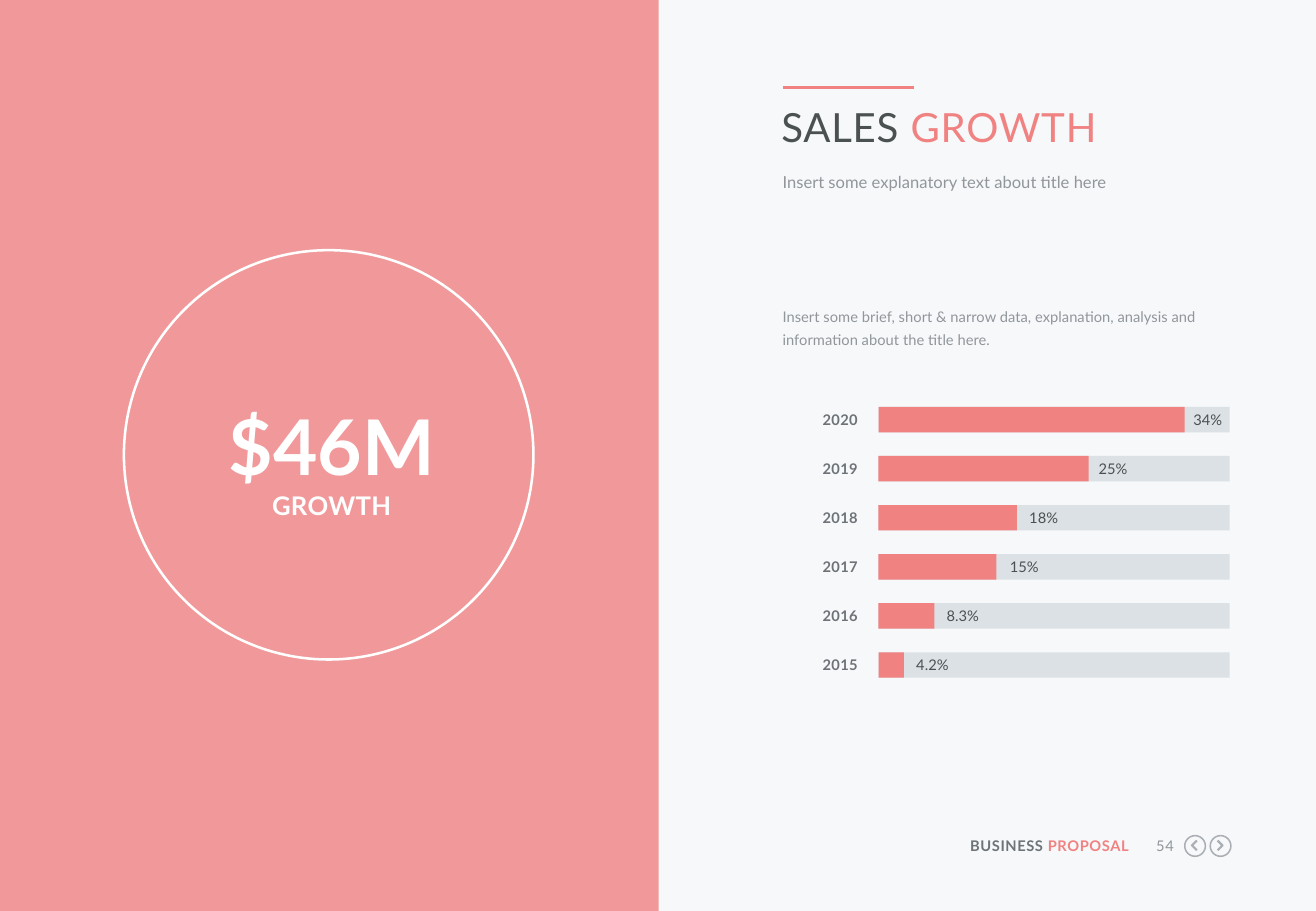
from pptx import Presentation
from pptx.dml.color import RGBColor
from pptx.enum.shapes import MSO_CONNECTOR, MSO_SHAPE
from pptx.enum.text import MSO_AUTO_SIZE, PP_ALIGN
from pptx.oxml.ns import qn
from pptx.util import Inches, Pt
from lxml import etree

RECTANGLE, OVAL = MSO_SHAPE.RECTANGLE, MSO_SHAPE.OVAL
STRAIGHT = MSO_CONNECTOR.STRAIGHT
GROW = MSO_AUTO_SIZE.SHAPE_TO_FIT_TEXT
LEFT, CENTER, RIGHT = PP_ALIGN.LEFT, PP_ALIGN.CENTER, PP_ALIGN.RIGHT

FONT = "Lato"
CORAL, WHITE, PAPER, TRACK = "F08282", "FFFFFF", "F6F8FA", "DCE1E6"
DARK, SLATE, GRAY, ICON = "4B5050", "6E7378", "91969B", "AAAFB4"
SMALL = 8.7

# year, growth, bar length, left edge of the growth label
GROWTH_BY_YEAR = [
    ("2020", "34%", 2.52, 9.82),
    ("2019", "25%", 1.73, 9.04),
    ("2018", "18%", 1.14, 8.47),
    ("2017", "15%", 0.97, 8.31),
    ("2016", "8.3%", 0.46, 7.79),
    ("2015", "4.2%", 0.21, 7.54),
]
BAR_LEFT, BAR_WIDTH, BAR_HEIGHT = 7.23, 2.89, 0.21
BARS_TOP, BARS_BOTTOM = 3.35, 5.37


def color(value):
    return RGBColor.from_string(value)


class SlidePainter:
    """Holds the slide being drawn and its shared text style."""

    def __init__(self, slide, font):
        self.slide = slide
        self.shapes = slide.shapes
        self.font = font

    def background(self, fill):
        self.slide.background.fill.solid()
        self.slide.background.fill.fore_color.rgb = color(fill)

    def finish(self, shape, fill, line, width):
        """Apply fill and outline, leaving out whichever is None."""
        shape.shadow.inherit = False
        if fill:
            shape.fill.solid()
            shape.fill.fore_color.rgb = color(fill)
        else:
            shape.fill.background()
        if line:
            shape.line.color.rgb = color(line)
            shape.line.width = Pt(width)
        else:
            shape.line.fill.background()
        return shape

    def shape(self, kind, left, top, width, height, fill=None, line=None, weight=1):
        box = self.shapes.add_shape(
            kind, Inches(left), Inches(top), Inches(width), Inches(height))
        return self.finish(box, fill, line, weight)

    def fade(self, shape, percent):
        """Set the opacity of a solid fill."""
        solid = shape._element.spPr.find(qn("a:solidFill"))
        alpha = etree.SubElement(solid[0], qn("a:alpha"))
        alpha.set("val", str(percent * 1000))

    def polyline(self, points, line, weight):
        corners = [(Inches(x), Inches(y)) for x, y in points]
        builder = self.shapes.build_freeform(*corners[0])
        builder.add_line_segments(corners[1:], close=False)
        return self.finish(builder.convert_to_shape(), None, line, weight)

    def rule(self, left, right, y, line, weight):
        connector = self.shapes.add_connector(
            STRAIGHT, Inches(left), Inches(y), Inches(right), Inches(y))
        connector.line.color.rgb = color(line)
        connector.line.width = Pt(weight)
        etree.SubElement(connector._element.spPr, qn("a:effectLst"))

    def text(self, left, top, width, height, spans, size, align=LEFT,
             bold=False, tracking=0, spacing=None):
        """Add one paragraph from (words, colour) spans; tracking is in points."""
        box = self.shapes.add_textbox(
            Inches(left), Inches(top), Inches(width), Inches(height))
        frame = box.text_frame
        frame.word_wrap = True
        frame.auto_size = GROW
        frame.margin_left = frame.margin_right = 0
        frame.margin_top = frame.margin_bottom = 0
        para = frame.paragraphs[0]
        para.alignment = align
        if spacing:
            para.line_spacing = spacing
        for words, tint in spans:
            span = para.add_run()
            span.text = words
            span.font.name = self.font
            span.font.size = Pt(size)
            span.font.bold = bold
            span.font.color.rgb = color(tint)
            if tracking:
                span._r.get_or_add_rPr().set("spc", str(round(tracking * 100)))

    def arrow_button(self, left, top, direction):
        """Draw a ringed chevron; direction is -1 for back and 1 for forward."""
        self.shape(OVAL, left + 0.01, top + 0.01, 0.17, 0.17, line=ICON, weight=0.9)
        x, y = left + 0.09, top + 0.09
        tail, tip = x - 0.02 * direction, x + 0.02 * direction
        self.polyline([(tail, y - 0.04), (tip, y), (tail, y + 0.04)], ICON, 1.3)

    def growth_bar(self, top, year, growth, length, label_left):
        self.text(6.43, top + 0.03, 0.63, 0.15, [(year, SLATE)], SMALL,
                  RIGHT, bold=True, tracking=0.2)
        for width, fill in ((BAR_WIDTH, TRACK), (length, CORAL)):
            self.shape(RECTANGLE, BAR_LEFT, top, width, BAR_HEIGHT, fill)
        self.text(label_left, top + 0.03, 0.29, 0.15, [(growth, DARK)], SMALL)


def main():
    deck = Presentation()
    deck.slide_width, deck.slide_height = Inches(10.83), Inches(7.5)
    page = SlidePainter(deck.slides.add_slide(deck.slide_layouts[6]), FONT)
    page.background(PAPER)

    page.text(7.92, 6.89, 1.37, 0.15, [("BUSINESS ", SLATE), ("PROPOSAL", CORAL)],
              SMALL, RIGHT, bold=True, tracking=0.3)
    page.text(9.41, 6.89, 0.25, 0.15, [("54", GRAY)], SMALL, RIGHT, tracking=0.3)
    page.arrow_button(9.74, 6.87, -1)
    page.arrow_button(9.95, 6.87, 1)

    panel = page.shape(RECTANGLE, 0, 0, 5.42, 7.5, CORAL)
    page.fade(panel, 80)
    page.shape(OVAL, 1.02, 2.06, 3.37, 3.37, line=WHITE, weight=1.5)
    page.text(1.6, 3.13, 2.26, 0.92, [("$46M", WHITE)], 45.5, CENTER,
              bold=True, spacing=1.2)
    page.text(1.6, 4.03, 2.26, 0.26, [("GROWTH", WHITE)], 15.2, CENTER,
              bold=True, tracking=0.2)

    page.rule(6.44, 7.52, 0.72, CORAL, 2.25)
    page.text(6.43, 0.84, 3.7, 0.4, [("SALES ", DARK), ("GROWTH", CORAL)], 23.8,
              tracking=0.5)
    page.text(6.44, 1.41, 3.69, 0.17,
              [("Insert some explanatory text about title here", GRAY)], 9.8,
              spacing=Pt(12))
    page.text(6.44, 2.49, 3.68, 0.38,
              [("Insert some brief, short & narrow data, explanation, analysis and "
                "information about the title here.", GRAY)], SMALL, spacing=1.3)

    step = (BARS_BOTTOM - BARS_TOP) / (len(GROWTH_BY_YEAR) - 1)
    for row, entry in enumerate(GROWTH_BY_YEAR):
        page.growth_bar(BARS_TOP + row * step, *entry)

    deck.save("out.pptx")


if __name__ == "__main__":
    main()
